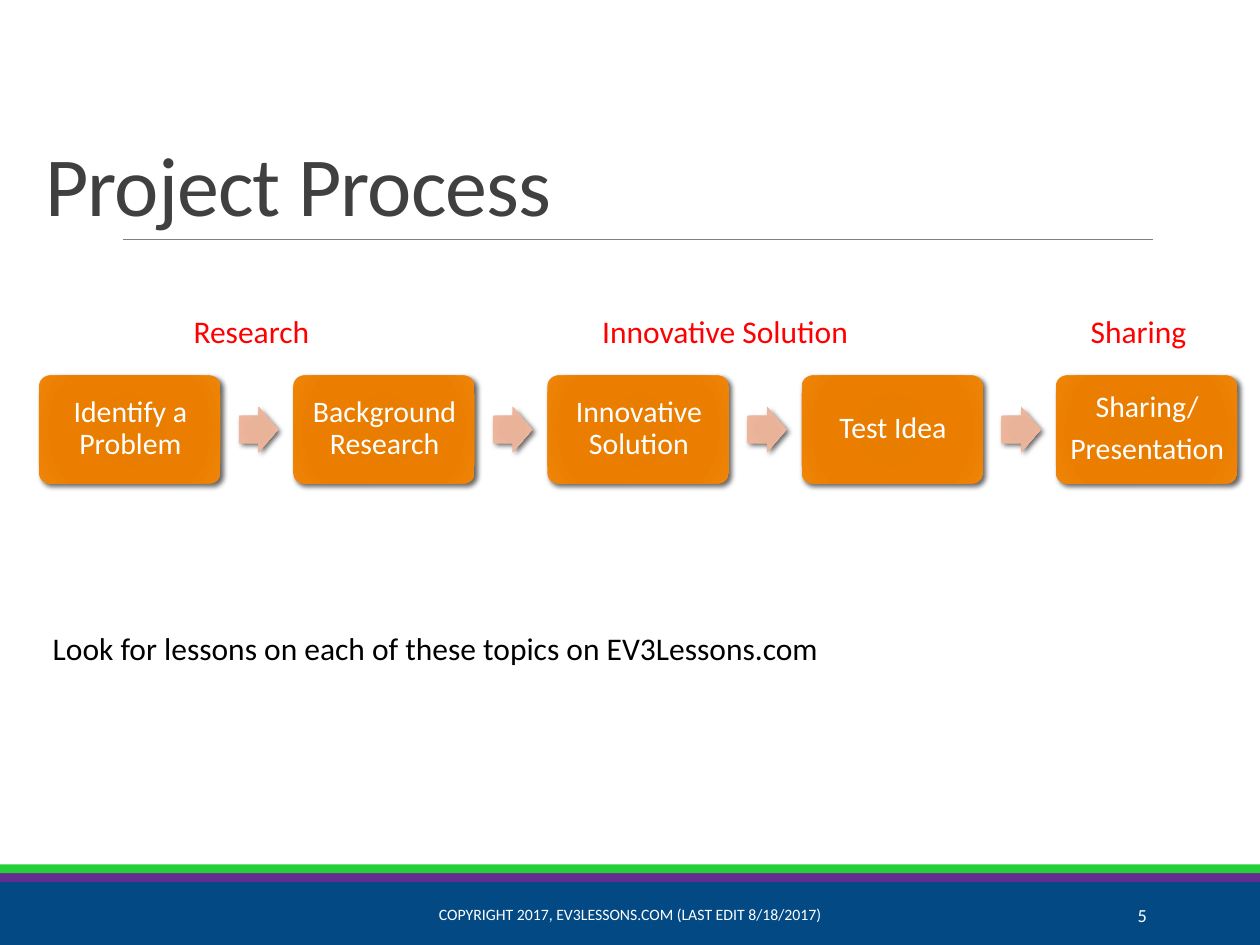
from lxml.etree import SubElement
from pptx import Presentation
from pptx.dml.color import RGBColor
from pptx.enum.shapes import MSO_CONNECTOR, MSO_SHAPE
from pptx.enum.text import MSO_ANCHOR, MSO_AUTO_SIZE, PP_ALIGN
from pptx.oxml.ns import qn
from pptx.util import Inches, Pt

HUES = {
    "navy": "034A85", "purple": "652C90", "green": "24CF39", "rule": "808080",
    "title": "404040", "red": "FF0000", "white": "FFFFFF", "black": "000000",
}
BLENDS = {
    "step": {0: "E57B00", 34: "E87D00", 70: "EB7E00", 100: "EF8407"},
    "arrow": {0: "E8B196", 34: "E9B399", 70: "EEB59A", 100: "F3C0A8"},
}
STEPS = [
    ["Identify a Problem"], ["Background Research"], ["Innovative Solution"],
    ["Test Idea"], ["Sharing/", "Presentation"],
]
HEADS = [("Research", 0.32, 3.35), ("Innovative Solution", 4.08, 3.35), ("Sharing", 8.39, 1.29)]
CENTER = {"alignment": PP_ALIGN.CENTER}
MIDDLE = {"vertical_anchor": MSO_ANCHOR.MIDDLE}
GROW = {"auto_size": MSO_AUTO_SIZE.SHAPE_TO_FIT_TEXT}
INSET = {f"margin_{side}": Inches(0.07) for side in ("left", "top", "right", "bottom")}
LABEL = {**CENTER, "line_spacing": 0.9, "space_after": Pt(6)}


def apply(item, values):
    """Set each named value on an item."""
    for name, value in values.items():
        setattr(item, name, value)


def add(node, tag, **attrs):
    """Append a drawing element with its attributes."""
    return SubElement(node, qn(tag), {key: str(val) for key, val in attrs.items()})


class Deck:
    """Hold the style and the current slide."""

    def __init__(self, slide, font="Calibri"):
        self.shapes = slide.shapes
        self.font = font

    def text(self, box, lines, size, hue, frame={}, para={}, track=0):
        """Add a text box with one paragraph per line."""
        body = self.shapes.add_textbox(*map(Inches, box)).text_frame
        apply(body, {"word_wrap": True, **frame})
        for num, line in enumerate(lines):
            part = body.add_paragraph() if num else body.paragraphs[0]
            apply(part, para)
            run = part.add_run()
            run.text = line
            apply(run.font, {"name": self.font, "size": Pt(size)})
            run.font.color.rgb = RGBColor.from_string(HUES[hue])
            if track:
                run.font._element.set("spc", str(track))

    def shape(self, kind, box):
        """Add a preset shape without outline or shadow."""
        item = self.shapes.add_shape(kind, *map(Inches, box))
        item.line.fill.background()
        item.shadow.inherit = False
        return item

    def band(self, top, high, hue):
        """Add a full-width band."""
        item = self.shape(MSO_SHAPE.RECTANGLE, (0, top, 10, high))
        item.fill.solid()
        item.fill.fore_color.rgb = RGBColor.from_string(HUES[hue])

    def block(self, kind, box, blend, bends):
        """Add a shape with a radial blend and a soft shadow."""
        item = self.shape(kind, box)
        for num, bend in enumerate(bends):
            item.adjustments[num] = bend
        item.fill.gradient()
        props = item._element.spPr
        fill = props.find(qn("a:gradFill"))
        for node in list(fill):
            fill.remove(node)
        stops = add(fill, "a:gsLst")
        for pos, hue in BLENDS[blend].items():
            add(add(stops, "a:gs", pos=pos * 1000), "a:srgbClr", val=hue)
        ring = add(fill, "a:path", path="circle")
        add(ring, "a:fillToRect", **dict.fromkeys("ltrb", 100000))
        glow = add(props.find(qn("a:effectLst")), "a:outerShdw", blurRad=Pt(3),
                   dist=Pt(2), dir=45 * 60000, rotWithShape=0)
        add(add(glow, "a:srgbClr", val=HUES["black"]), "a:alpha", val=60000)

    def rule(self, left, right, top, hue):
        """Add a thin level line."""
        item = self.shapes.add_connector(MSO_CONNECTOR.STRAIGHT, *map(Inches, (left, top, right, top)))
        item.line.width = Pt(0.5)
        item.line.color.rgb = RGBColor.from_string(HUES[hue])
        add(item._element.spPr, "a:effectLst")


def main():
    """Build and save the slide."""
    show = Presentation()
    apply(show, {"slide_width": Inches(10), "slide_height": Inches(7.5)})
    deck = Deck(show.slides.add_slide(show.slide_layouts[6]))

    deck.band(7, 0.5, "navy")
    deck.band(6.93, 0.07, "purple")
    deck.rule(0.98, 9.15, 1.9, "rule")
    deck.band(6.86, 0.07, "green")
    deck.text((0.26, 0.31, 9.49, 1.59), ["Project Process"], 48, "title",
              {"vertical_anchor": MSO_ANCHOR.BOTTOM}, {"line_spacing": 0.85}, -50)
    deck.text((8.12, 7.06, 1.08, 0.4), ["5"], 10.5, "white", MIDDLE, {"alignment": PP_ALIGN.RIGHT})
    for head, left, wide in HEADS:
        deck.text((left, 2.43, wide, 0.4), [head], 18, "red", GROW, CENTER)

    first, last = 0.31, 8.38
    pitch = (last - first) / (len(STEPS) - 1)
    for num, lines in enumerate(STEPS):
        left = first + num * pitch
        if num:
            deck.block(MSO_SHAPE.RIGHT_ARROW, (left - 0.43, 3.23, 0.31, 0.36), "arrow", [0.6, 0.5])
        deck.block(MSO_SHAPE.ROUNDED_RECTANGLE, (left, 2.98, 1.44, 0.86), "step", [0.1])
        deck.text((left + 0.03, 3, 1.39, 0.81), lines, 17, "white", {**MIDDLE, **INSET}, LABEL)

    deck.text((3.02, 7.06, 3.96, 0.4), ["COPYRIGHT 2017, EV3LESSONS.COM (LAST EDIT 8/18/2017)"],
              9, "white", MIDDLE, CENTER)
    deck.text((0.32, 4.94, 8.92, 0.4), ["Look for lessons on each of these topics on EV3Lessons.com"],
              18, "black", GROW)
    show.save("out.pptx")


if __name__ == "__main__":
    main()
